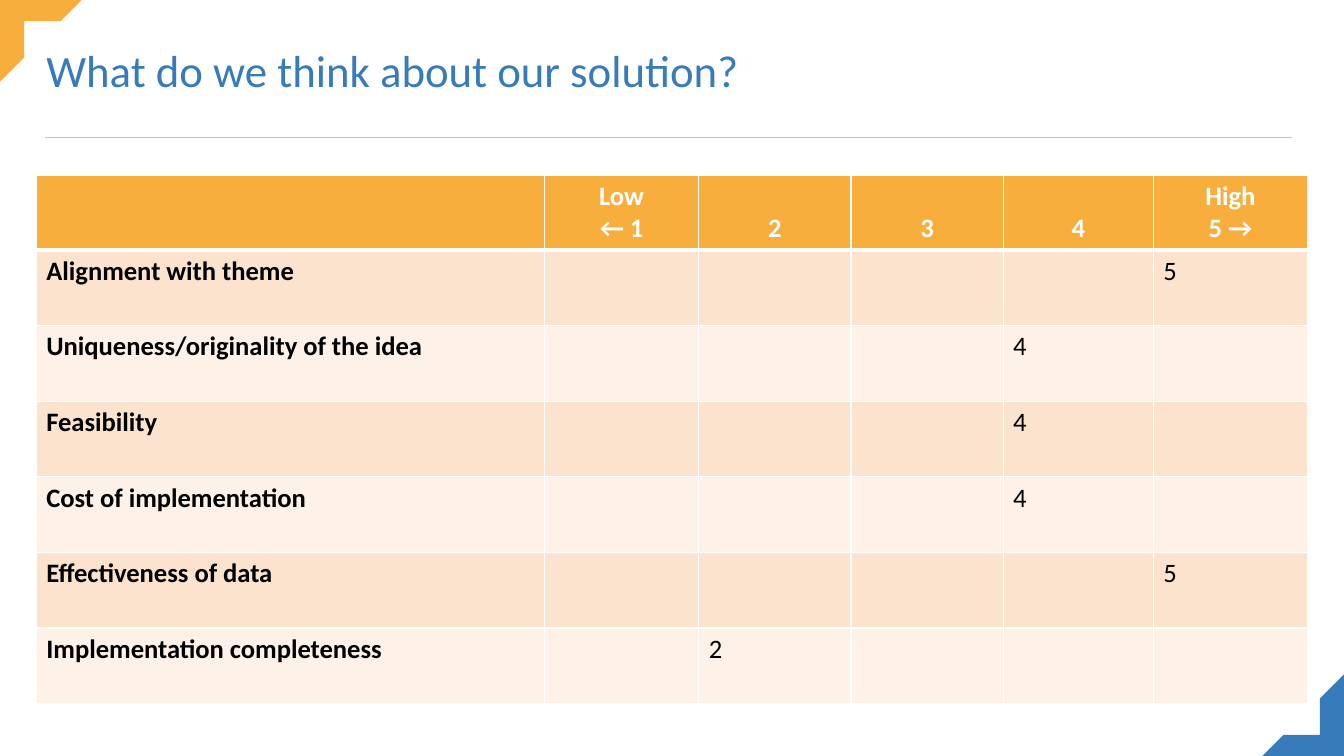
from lxml.etree import SubElement
from pptx import Presentation
from pptx.dml.color import RGBColor
from pptx.enum.shapes import MSO_CONNECTOR
from pptx.enum.text import MSO_ANCHOR as ANCHOR, MSO_AUTO_SIZE as FIT, PP_ALIGN as ALIGN
from pptx.oxml import parse_xml
from pptx.oxml.ns import nsdecls, qn
from pptx.util import Inches, Pt

# Content
TITLE = "What do we think about our solution?"
SCORES = [["Low", "← 1"], ["2"], ["3"], ["4"], ["High", "5 →"]]
RATINGS = [
    ("Alignment with theme", 5),
    ("Uniqueness/originality of the idea", 4),
    ("Feasibility", 4),
    ("Cost of implementation", 4),
    ("Effectiveness of data", 5),
    ("Implementation completeness", 2),
]

# Look and layout, in inches
COLORS = dict(orange="F8AE3C", blue="387BBA", white="FFFFFF", black="000000",
              rule="C6C6C7", dark_band="FCE3CE", light_band="FEF2E8")
FONT = "Calibri"
WIDTH, HEIGHT = 13.33, 7.5
LEFT, TABLE_TOP = 0.36, 1.74
COLUMNS = [5.04, 1.53, 1.51, 1.51, 1.49, 1.53]
HEADER_ROW, RATING_ROW = 0.73, 0.75
CORNER = [(0, 0), (0.81, 0), (0.6, 0.21), (0.24, 0.21), (0.24, 0.57), (0, 0.81)]


def rgb(name):
    return RGBColor.from_string(COLORS[name])


def write(tf, lines, size=19, color="black", bold=False, align=ALIGN.LEFT, spacing=None):
    for i, line in enumerate(lines):
        p = tf.paragraphs[0] if i == 0 else tf.add_paragraph()
        p.alignment = align
        if spacing:
            p.line_spacing = spacing
        r = p.add_run()
        r.text = line
        r.font.name, r.font.size, r.font.bold = FONT, Pt(size), bold
        r.font.color.rgb = rgb(color)


def style_cell(cell, fill, bottom=1):
    cell.fill.solid()
    cell.fill.fore_color.rgb = rgb(fill)
    tc_pr = cell._tc.get_or_add_tcPr()
    for i, (side, width) in enumerate(zip("LRTB", (1, 1, 1, bottom))):
        tc_pr.insert(i, parse_xml(
            f'<a:ln{side} {nsdecls("a")} w="{Pt(width)}"><a:solidFill>'
            f'<a:srgbClr val="{COLORS["white"]}"/></a:solidFill></a:ln{side}>'))


def add_corner(s, points, color):
    points = [(Inches(x), Inches(y)) for x, y in points]
    builder = s.shapes.build_freeform(*points[0])
    builder.add_line_segments(points[1:], close=True)
    sp = builder.convert_to_shape()
    sp.shadow.inherit = False
    sp.fill.solid()
    sp.fill.fore_color.rgb = rgb(color)
    sp.line.fill.background()


prs = Presentation()
prs.slide_width, prs.slide_height = Inches(WIDTH), Inches(HEIGHT)
s = prs.slides.add_slide(prs.slide_layouts[5])
s.background.fill.solid()
s.background.fill.fore_color.rgb = rgb("white")

# Rule and corners
rule = s.shapes.add_connector(MSO_CONNECTOR.STRAIGHT, Inches(0.45), Inches(1.36),
                              Inches(12.81), Inches(1.36))
rule.line.color.rgb = rgb("rule")
rule.line.width = Pt(0.5)
SubElement(rule._element.spPr, qn("a:effectLst"))
add_corner(s, CORNER, "orange")
add_corner(s, [(WIDTH - x, HEIGHT - y) for x, y in CORNER], "blue")

# Title
title = s.shapes.title
title.left, title.top, title.width, title.height = map(Inches, (LEFT, 0.33, 12.62, 0.85))
tf = title.text_frame
tf.word_wrap, tf.auto_size, tf.vertical_anchor = True, FIT.NONE, ANCHOR.MIDDLE
write(tf, [TITLE], size=32, color="blue", spacing=0.7)

# Rating table
table = s.shapes.add_table(
    len(RATINGS) + 1, len(COLUMNS), Inches(LEFT), Inches(TABLE_TOP), Inches(sum(COLUMNS)),
    Inches(HEADER_ROW + RATING_ROW * len(RATINGS))).table
for column, width in zip(table.columns, COLUMNS):
    column.width = Inches(width)
for i, row in enumerate(table.rows):
    row.height = Inches(RATING_ROW if i else HEADER_ROW)
    band = "orange" if i == 0 else "dark_band" if i % 2 else "light_band"
    for cell in row.cells:
        style_cell(cell, band, bottom=1 if i else 3)

for col, lines in enumerate(SCORES, 1):
    cell = table.cell(0, col)
    cell.vertical_anchor = ANCHOR.BOTTOM
    write(cell.text_frame, lines, color="white", bold=True, align=ALIGN.CENTER)
for row, (criterion, score) in enumerate(RATINGS, 1):
    write(table.cell(row, 0).text_frame, [criterion], bold=True)
    write(table.cell(row, score).text_frame, [str(score)])

prs.save("out.pptx")
